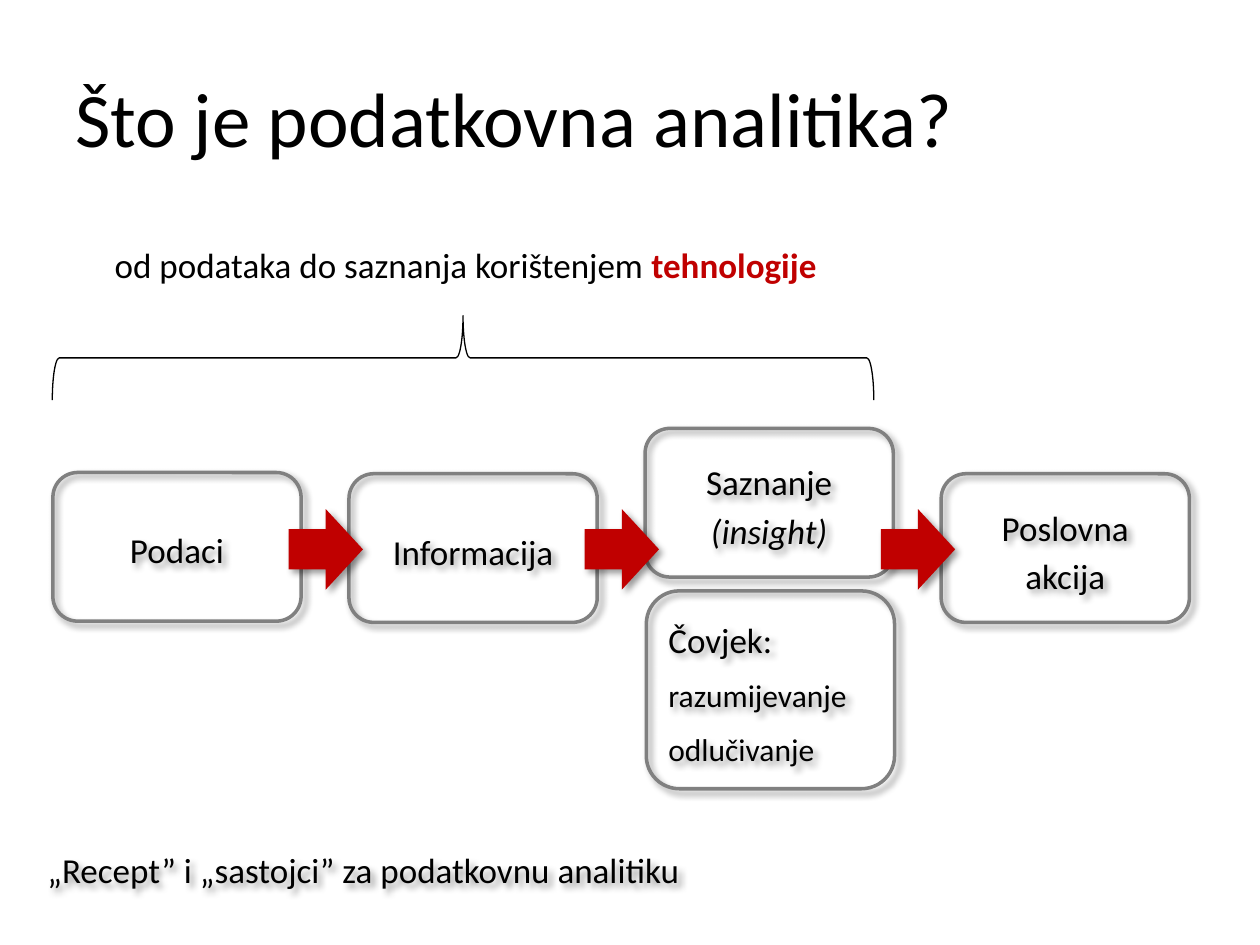
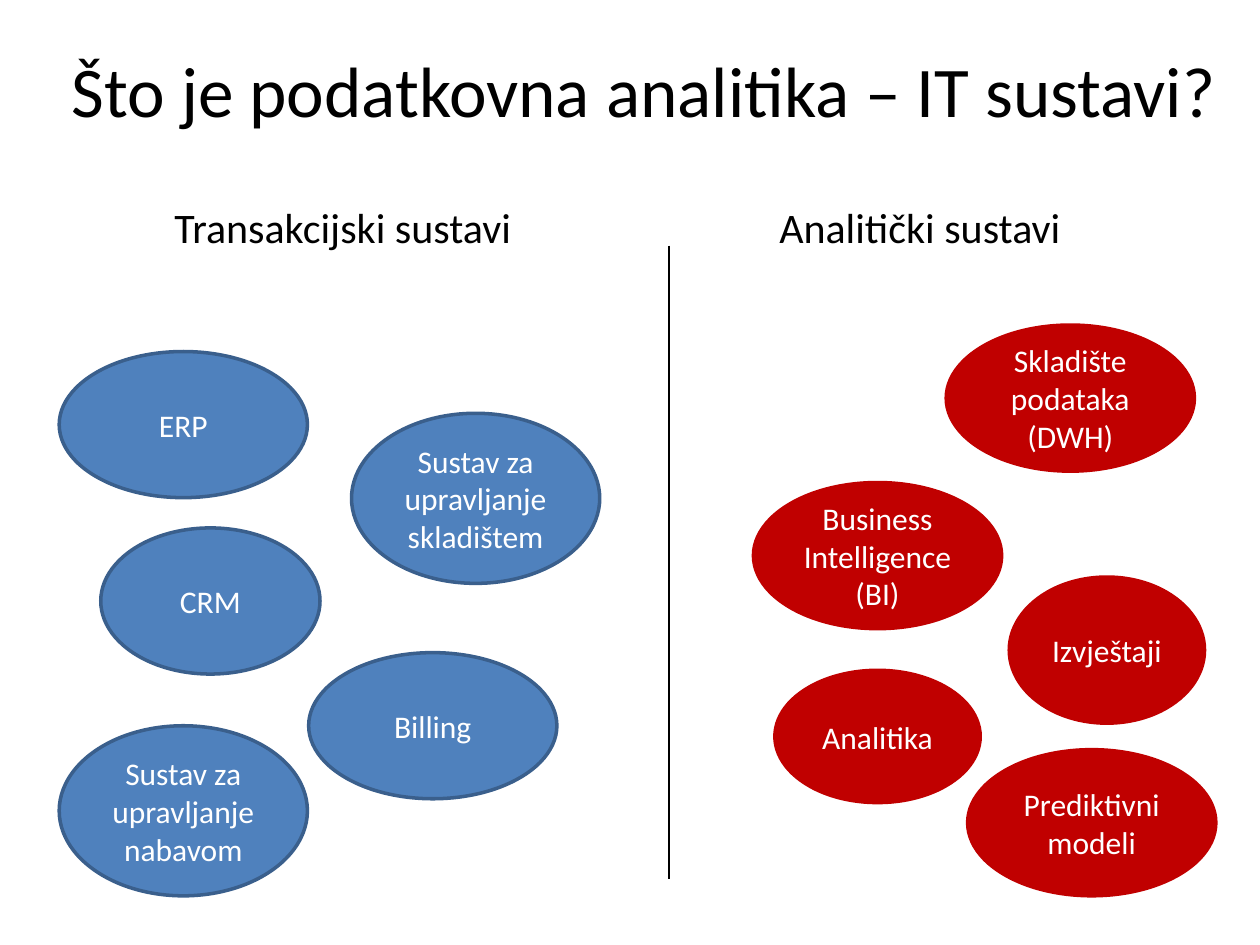
import pptx
import pptx.dml.color
import pptx.enum.shapes
import pptx.enum.text
import pptx.oxml
import pptx.oxml.ns
import pptx.util

Inches = pptx.util.Inches
Pt = pptx.util.Pt
SHAPE = pptx.enum.shapes.MSO_SHAPE
ALIGN = pptx.enum.text.PP_ALIGN
ANCHOR = pptx.enum.text.MSO_ANCHOR

COLORS = {"black": "000000", "white": "FFFFFF", "red": "C00000",
          "gray": "808080", "blue": "4F81BD", "dark_blue": "3A5F8C"}
FONT = "Calibri"

PROCESS_TITLE = "Što je podatkovna analitika?"
TECHNOLOGY = [[("od podataka do saznanja korištenjem ", {}),
               ("tehnologije", {"bold": True, "color": "red"})]]
STEPS = [
    (3.75, [[("Podaci", {})]]),
    (3.76, [[("Informacija", {})]]),
    (3.40, [[("Saznanje ", {}), ("(insight)", {"italic": True})]]),
    (3.76, [[("Poslovna akcija", {})]]),
]
HUMAN = [[("Čovjek:", {})],
         [("razumijevanje", {"size": 18})],
         [("odlučivanje", {"size": 18})]]
CAPTION = [[("„Recept” i „sastojci” za podatkovnu analitiku", {})]]
STEP_LEFT, STEP_PITCH, STEP_SIZE = 0.42, 2.35, (1.97, 1.18)
ARROW_LEFT, ARROW_TOP, ARROW_SIZE = 2.29, 4.04, (0.59, 0.64)

SYSTEMS_TITLE = "Što je podatkovna analitika – IT sustavi?"
SYSTEM_GROUPS = [
    ("Transakcijski sustavi", 0.91, "blue", "dark_blue", [
        ("ERP", 0.47, 2.79, 1.97, 1.16),
        ("CRM", 0.80, 4.19, 1.74, 1.16),
        ("Billing", 2.45, 5.18, 1.97, 1.16),
        ("Sustav za upravljanje skladištem", 2.79, 3.28, 1.97, 1.35),
        ("Sustav za upravljanje nabavom", 0.47, 5.76, 1.97, 1.35),
    ]),
    ("Analitički sustavi", 5.49, "red", "red", [
        ("Skladište podataka (DWH)", 7.51, 2.58, 1.97, 1.16),
        ("Business Intelligence (BI)", 5.98, 3.83, 1.97, 1.16),
        ("Izvještaji", 8.01, 4.58, 1.55, 1.16),
        ("Prediktivni modeli", 7.68, 5.95, 1.97, 1.16),
        ("Analitika", 6.15, 5.32, 1.63, 1.05),
    ]),
]


def rgb(name):
    return pptx.dml.color.RGBColor.from_string(COLORS[name])


def write(shape, paragraphs, size, color="black", align=ALIGN.CENTER,
          anchor=ANCHOR.MIDDLE, line_spacing=None, space_after=None):
    frame = shape.text_frame
    frame.word_wrap = True
    frame.vertical_anchor = anchor
    for index, runs in enumerate(paragraphs):
        paragraph = frame.add_paragraph() if index else frame.paragraphs[0]
        paragraph.alignment = align
        paragraph.line_spacing = line_spacing
        paragraph.space_after = space_after
        for text, style in runs:
            run = paragraph.add_run()
            run.text = text
            run.font.name = FONT
            run.font.size = Pt(style.get("size", size))
            run.font.bold = style.get("bold")
            run.font.italic = style.get("italic")
            run.font.color.rgb = rgb(style.get("color", color))


def add_text(slide, box, paragraphs, size, **layout):
    text_box = slide.shapes.add_textbox(*map(Inches, box))
    write(text_box, paragraphs, size, **layout)


def add_title(slide, box, text, size):
    add_text(slide, box, [[(text, {})]], size, align=ALIGN.LEFT)


def add_shape(slide, kind, box, fill=None, line=None, width=2):
    shape = slide.shapes.add_shape(kind, *map(Inches, box))
    shape.shadow.inherit = False
    if fill:
        shape.fill.solid()
        shape.fill.fore_color.rgb = rgb(fill)
    else:
        shape.fill.background()
    if line:
        shape.line.color.rgb = rgb(line)
        shape.line.width = Pt(width)
    else:
        shape.line.fill.background()
    return shape


def cast_shadow(shape):
    effects = shape.element.spPr.find(pptx.oxml.ns.qn("a:effectLst"))
    effects.append(pptx.oxml.parse_xml(
        f'<a:outerShdw {pptx.oxml.ns.nsdecls("a")} blurRad="{Pt(4)}" dist="{Pt(3)}" '
        f'dir="2700000" algn="tl" rotWithShape="0"><a:srgbClr val="{COLORS["black"]}">'
        '<a:alpha val="40000"/></a:srgbClr></a:outerShdw>'))


def add_card(slide, box, paragraphs, line="gray", align=ALIGN.CENTER):
    card = add_shape(slide, SHAPE.ROUNDED_RECTANGLE, box, line=line)
    cast_shadow(card)
    write(card, paragraphs, 20, align=align, line_spacing=1.15, space_after=Pt(6))


def build_process(slide):
    add_title(slide, (0.5, 0.3, 9, 1.25), PROCESS_TITLE, 44)
    add_text(slide, (0.45, 1.88, 6.49, 0.44), TECHNOLOGY, 20, anchor=ANCHOR.TOP)
    brace = add_shape(slide, SHAPE.RIGHT_BRACE, (3.34, -0.42, 0.67, 6.52),
                      line="black", width=0.75)
    brace.rotation = 270
    for index, (top, paragraphs) in enumerate(STEPS):
        add_card(slide, (STEP_LEFT + index * STEP_PITCH, top, *STEP_SIZE), paragraphs)
    add_card(slide, (5.13, 4.69, 1.97, 1.57), HUMAN, align=ALIGN.LEFT)
    for index in range(len(STEPS) - 1):
        box = (ARROW_LEFT + index * STEP_PITCH, ARROW_TOP, *ARROW_SIZE)
        cast_shadow(add_shape(slide, SHAPE.RIGHT_ARROW, box, fill="red"))
    add_card(slide, (0.22, 6.56, 5.33, 0.64), CAPTION, line=None)


def build_systems(slide):
    add_title(slide, (0.47, 0.08, 9.53, 1.25), SYSTEMS_TITLE, 40.7)
    for heading, left, fill, line, systems in SYSTEM_GROUPS:
        add_text(slide, (left, 1.55, 3.62, 0.5), [[(heading, {})]], 24,
                 anchor=ANCHOR.TOP)
        for name, *box in systems:
            ellipse = add_shape(slide, SHAPE.OVAL, box, fill, line)
            write(ellipse, [[(name, {})]], 18, color="white")
    divider = slide.shapes.add_connector(
        pptx.enum.shapes.MSO_CONNECTOR.STRAIGHT,
        *map(Inches, (5.31, 1.95, 5.31, 6.98)))
    divider.line.color.rgb = rgb("black")
    divider.line.width = Pt(0.75)
    divider.element.spPr.append(pptx.oxml.parse_xml(
        f'<a:effectLst {pptx.oxml.ns.nsdecls("a")}/>'))


def main():
    presentation = pptx.Presentation()
    presentation.slide_width = Inches(10)
    presentation.slide_height = Inches(7.5)
    for build in (build_process, build_systems):
        build(presentation.slides.add_slide(presentation.slide_layouts[6]))
    presentation.save("out.pptx")


if __name__ == "__main__":
    main()
